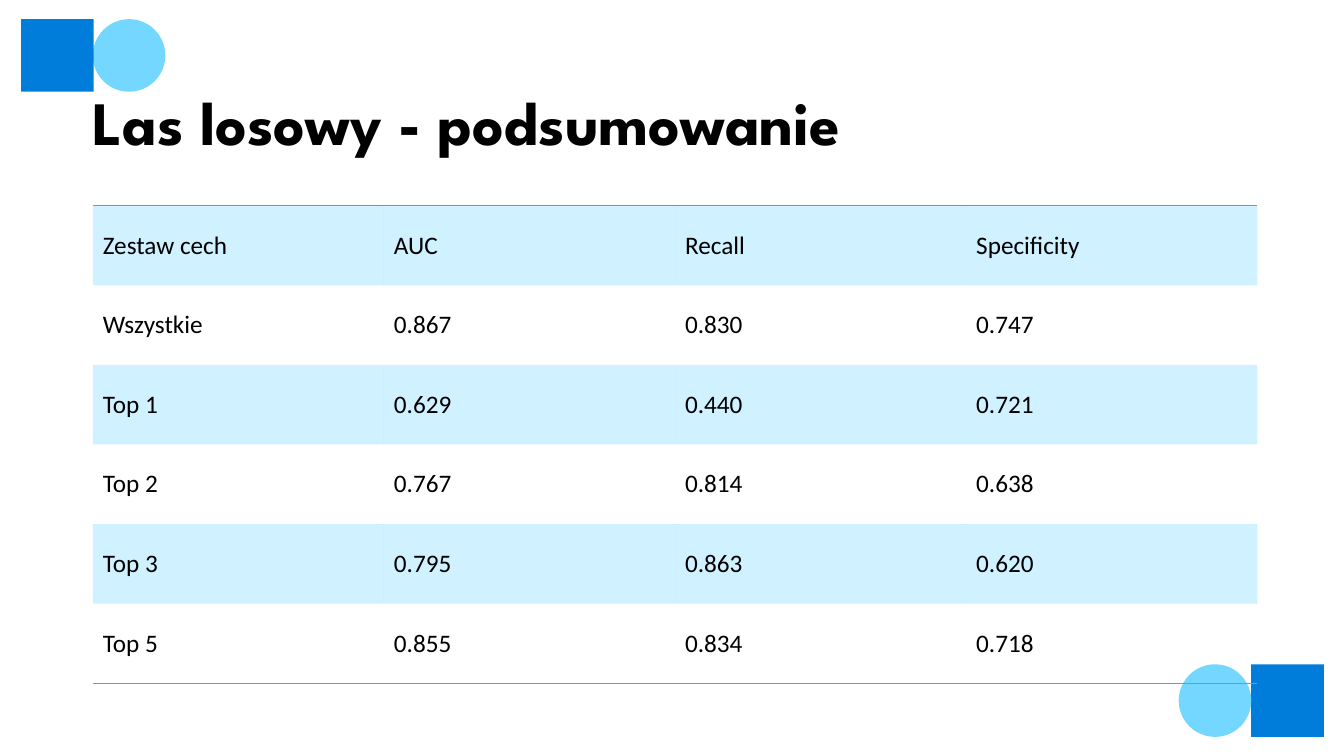
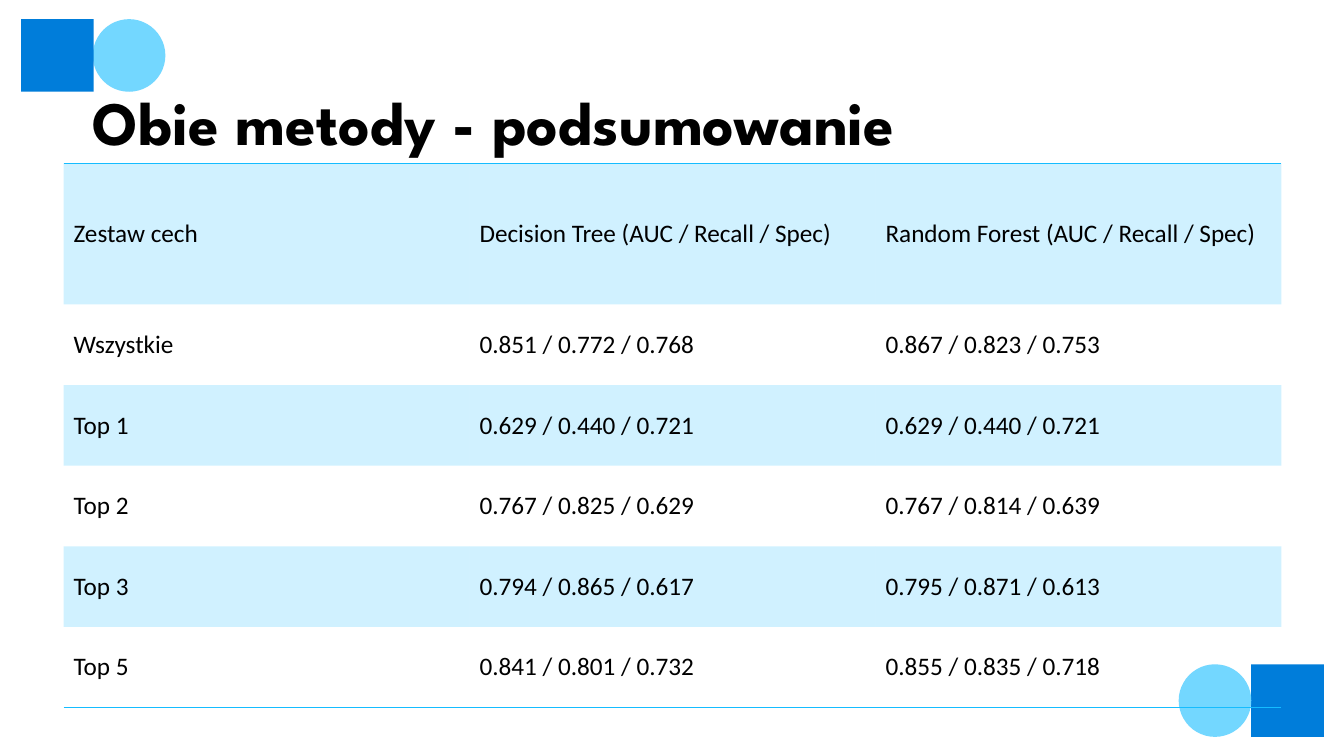
from dataclasses import dataclass

import lxml.etree
import pptx
import pptx.dml.color
import pptx.enum.shapes
import pptx.enum.text
import pptx.oxml.ns
import pptx.presentation
import pptx.shapes.graphfrm
import pptx.slide
import pptx.table
import pptx.text.text
import pptx.util
from pptx.util import Inches

qualified = pptx.oxml.ns.qn
Shape = pptx.enum.shapes.MSO_SHAPE
Anchor = pptx.enum.text.MSO_ANCHOR


@dataclass(frozen=True)
class Theme:
    square: str = "007DDA"
    circle: str = "73D7FF"
    accent: str = "15BCFF"
    ink: str = "000000"
    title_font: str = "League Spartan"
    body_font: str = "Calibri"
    title_size: int = 44
    body_size: int = 18
    rule_width: int = 1
    band_opacity: int = 20
    plain_table: str = "{2D5ABB26-0587-4C30-8999-92F81FD0307C}"


@dataclass(frozen=True)
class Ornament:
    kind: Shape
    left: float
    top: float
    color: str


@dataclass(frozen=True)
class Summary:
    title: str
    left: float
    top: float
    width: float
    header_height: float
    row_height: float
    rows: tuple[tuple[str, ...], ...]


THEME = Theme()
ORNAMENT_SIZE = 0.72
ORNAMENTS = (
    Ornament(Shape.RECTANGLE, 12.41, 6.59, THEME.square),
    Ornament(Shape.OVAL, 11.69, 6.59, THEME.circle),
    Ornament(Shape.OVAL, 0.92, 0.19, THEME.circle),
    Ornament(Shape.RECTANGLE, 0.21, 0.19, THEME.square),
)
SUMMARIES = (
    Summary(
        "Las losowy - podsumowanie", 0.92, 2.04, 11.55, 0.79, 0.79,
        (
            ("Zestaw cech", "AUC", "Recall", "Specificity"),
            ("Wszystkie", "0.867", "0.830", "0.747"),
            ("Top 1", "0.629", "0.440", "0.721"),
            ("Top 2", "0.767", "0.814", "0.638"),
            ("Top 3", "0.795", "0.863", "0.620"),
            ("Top 5", "0.855", "0.834", "0.718"),
        ),
    ),
    Summary(
        "Obie metody - podsumowanie", 0.63, 1.62, 12.08, 1.4, 0.8,
        (
            ("Zestaw cech", "Decision Tree (AUC / Recall / Spec)", "Random Forest (AUC / Recall / Spec)"),
            ("Wszystkie", "0.851 / 0.772 / 0.768", "0.867 / 0.823 / 0.753"),
            ("Top 1", "0.629 / 0.440 / 0.721", "0.629 / 0.440 / 0.721"),
            ("Top 2", "0.767 / 0.825 / 0.629", "0.767 / 0.814 / 0.639"),
            ("Top 3", "0.794 / 0.865 / 0.617", "0.795 / 0.871 / 0.613"),
            ("Top 5", "0.841 / 0.801 / 0.732", "0.855 / 0.835 / 0.718"),
        ),
    ),
)


def rgb(color: str) -> pptx.dml.color.RGBColor:
    return pptx.dml.color.RGBColor.from_string(color)


def write(frame: pptx.text.text.TextFrame, text: str, *, font: str, size: int, bold: bool = False) -> None:
    paragraph = frame.paragraphs[0]
    paragraph.alignment = pptx.enum.text.PP_ALIGN.LEFT
    span = paragraph.add_run()
    span.text = text
    span.font.name = font
    span.font.size = pptx.util.Pt(size)
    span.font.bold = bold
    span.font.color.rgb = rgb(THEME.ink)


def add_ornament(page: pptx.slide.Slide, ornament: Ornament) -> None:
    shape = page.shapes.add_shape(
        ornament.kind, Inches(ornament.left), Inches(ornament.top),
        Inches(ORNAMENT_SIZE), Inches(ORNAMENT_SIZE),
    )
    shape.shadow.inherit = False
    shape.fill.solid()
    shape.fill.fore_color.rgb = rgb(ornament.color)
    shape.line.fill.background()


def set_title(page: pptx.slide.Slide, text: str) -> None:
    title = page.shapes.title
    title.left, title.top = Inches(0.92), Inches(0.91)
    title.width, title.height = Inches(11.49), Inches(0.58)
    frame = title.text_frame
    frame.margin_left = frame.margin_right = frame.margin_top = frame.margin_bottom = 0
    frame.vertical_anchor = Anchor.MIDDLE
    frame.auto_size = pptx.enum.text.MSO_AUTO_SIZE.NONE
    frame.word_wrap = True
    write(frame, text, font=THEME.title_font, size=THEME.title_size, bold=True)


def tint_cell(cell: pptx.table._Cell) -> None:
    cell.fill.solid()
    cell.fill.fore_color.rgb = rgb(THEME.accent)
    color = cell._tc.tcPr.find(f".//{qualified('a:srgbClr')}")
    lxml.etree.SubElement(color, qualified("a:alpha"), val=str(THEME.band_opacity * 1000))


def rule_cell(cell: pptx.table._Cell, side: str) -> None:
    line = lxml.etree.Element(qualified(side), w=str(pptx.util.Pt(THEME.rule_width)))
    fill = lxml.etree.SubElement(line, qualified("a:solidFill"))
    lxml.etree.SubElement(fill, qualified("a:srgbClr"), val=THEME.accent)
    cell._tc.get_or_add_tcPr().insert(0, line)


def add_summary_table(page: pptx.slide.Slide, summary: Summary) -> None:
    last = len(summary.rows) - 1
    height = summary.header_height + last * summary.row_height
    graphic: pptx.shapes.graphfrm.GraphicFrame = page.shapes.add_table(
        len(summary.rows), len(summary.rows[0]), Inches(summary.left),
        Inches(summary.top), Inches(summary.width), Inches(height),
    )
    graphic.element.find(f".//{qualified('a:tableStyleId')}").text = THEME.plain_table
    table = graphic.table
    for index, values in enumerate(summary.rows):
        table.rows[index].height = Inches(summary.row_height if index else summary.header_height)
        for column, value in enumerate(values):
            cell = table.cell(index, column)
            cell.vertical_anchor = Anchor.MIDDLE
            write(cell.text_frame, value, font=THEME.body_font, size=THEME.body_size)
            if index % 2 == 0:
                tint_cell(cell)
            else:
                cell.fill.background()
            if index == 0:
                rule_cell(cell, "a:lnT")
            if index == last:
                rule_cell(cell, "a:lnB")


def add_summary_page(deck: pptx.presentation.Presentation, summary: Summary) -> None:
    page = deck.slides.add_slide(deck.slide_layouts[5])
    for ornament in ORNAMENTS:
        add_ornament(page, ornament)
    set_title(page, summary.title)
    add_summary_table(page, summary)


def main() -> None:
    deck = pptx.Presentation()
    deck.slide_width, deck.slide_height = Inches(13.33), Inches(7.5)
    for summary in SUMMARIES:
        add_summary_page(deck, summary)
    deck.save("out.pptx")


if __name__ == "__main__":
    main()
